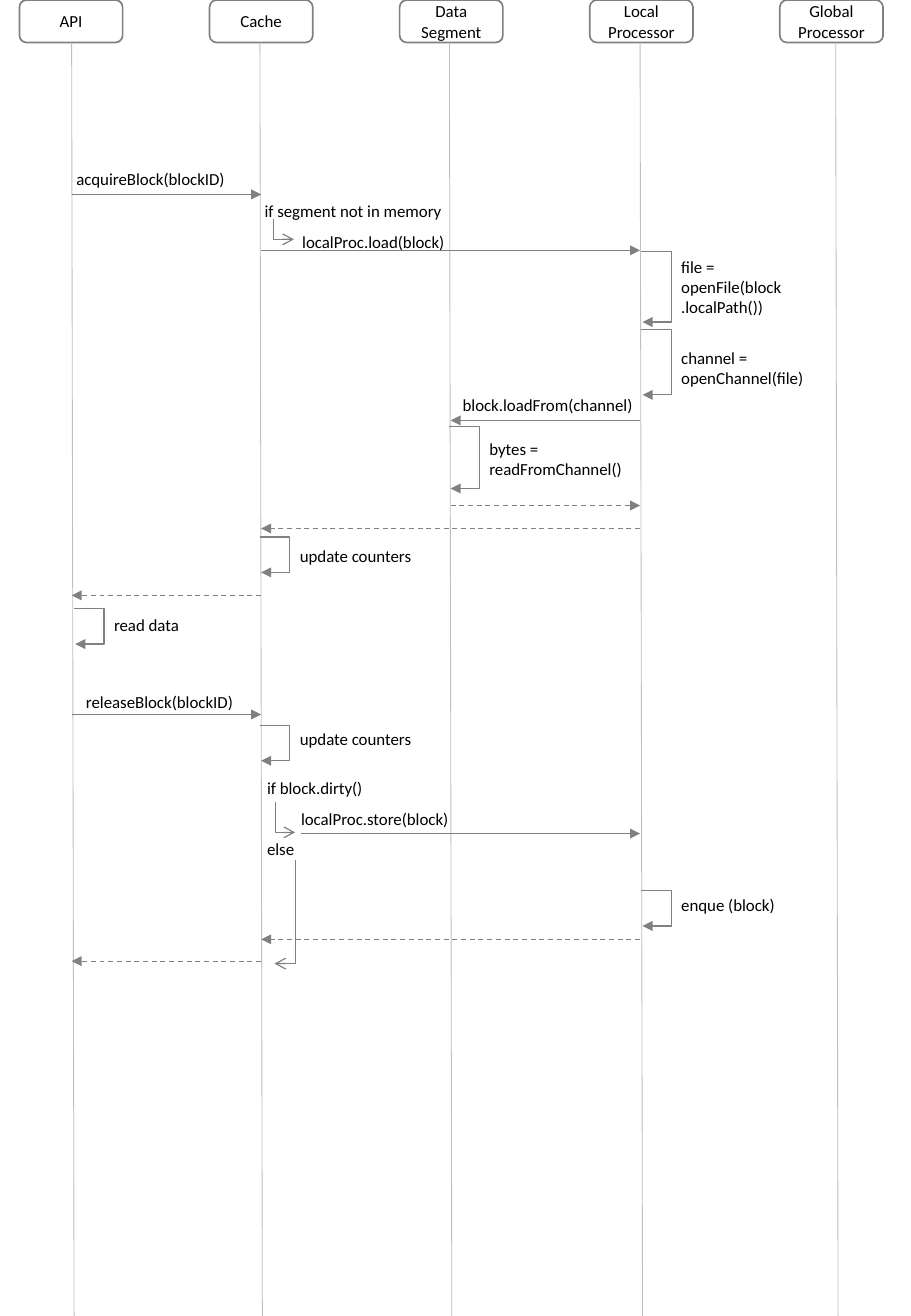
from lxml import etree
from pptx import Presentation
from pptx.dml.color import RGBColor
from pptx.enum import dml, shapes, text
from pptx.oxml import ns
from pptx.util import Inches, Pt

GREY, PALE, BLACK = "808080", "BFBFBF", "000000"
STEP = 1.56
API, CACHE, DATA, LOCAL = (round(0.59 + STEP * i, 2) for i in range(4))
KINDS = shapes.MSO_CONNECTOR


def paint(color, code):
    color.rgb = RGBColor.from_string(code)


def write(para, words):
    para.text = words
    para.font.size = Pt(10)
    para.font.name = "Calibri"
    paint(para.font.color, BLACK)


def wire(page, kind, start, end, code=GREY, width=0.75, head=None, dash=False):
    link = page.shapes.add_connector(kind, *map(Inches, (*start, *end)))
    paint(link.line.color, code)
    link.line.width = Pt(width)
    if dash:
        link.line.dash_style = dml.MSO_LINE.DASH
    if head:
        tip = etree.SubElement(link.line._get_or_add_ln(), ns.qn("a:tailEnd"))
        tip.set("type", head)
    etree.SubElement(link._element.spPr, ns.qn("a:effectLst"))
    return link


def send(page, start, end, y, dash=False):
    wire(page, KINDS.STRAIGHT, (start, y), (end, y), head="triangle", dash=dash)


def loop(page, x, y, drop):
    """Arrow that leaves a lifeline to the right and returns lower down."""
    gap, reach = 0.01, 0.25
    link = wire(page, KINDS.ELBOW, (x, y), (x + gap, y + drop), head="triangle")
    geom = link._element.spPr.find(ns.qn("a:prstGeom"))
    guides = geom.find(ns.qn("a:avLst"))
    if guides is None:
        guides = etree.SubElement(geom, ns.qn("a:avLst"))
    bend = round(reach / gap * 100000)
    etree.SubElement(guides, ns.qn("a:gd"), name="adj1", fmla=f"val {bend}")


def branch(page, x, y, run, drop):
    """Arrow that goes down by drop, then sideways by run."""
    mid, half = x + run / 2, drop / 2
    center, rise = y + half, abs(run) / 2
    side = half if run > 0 else -half
    link = wire(page, KINDS.ELBOW, (mid + side, center - rise),
                (mid - side, center + rise), head="arrow")
    props = link._element.spPr
    props.find(ns.qn("a:prstGeom")).set("prst", "bentConnector2")
    turn = 270 if run > 0 else 90
    props.find(ns.qn("a:xfrm")).set("rot", str(turn * 60000))


def note(page, x, y, w, h, lines, wrap=False, space=None, indent=0):
    """Text box; indent moves the second line to the right."""
    frame = page.shapes.add_textbox(*map(Inches, (x, y, w, h))).text_frame
    frame.word_wrap = wrap
    for i, words in enumerate(lines):
        para = frame.paragraphs[0] if i == 0 else frame.add_paragraph()
        write(para, words)
        para.line_spacing = space
        if i == 1:
            para._p.get_or_add_pPr().set("marL", str(Inches(indent)))


def lanes(page, x, y, w, h):
    names = ["API", "Cache", "Data Segment", "Local Processor", "Global Processor"]
    wide, high = 0.85, 0.35
    pitch = (w - wide) / (len(names) - 1)
    for i, name in enumerate(names):
        box = page.shapes.add_shape(
            shapes.MSO_SHAPE.ROUNDED_RECTANGLE,
            *map(Inches, (x + pitch * i, y, wide, high)))
        box.shadow.inherit = False
        box.fill.background()
        paint(box.line.color, GREY)
        box.line.width = Pt(1)
        frame = box.text_frame
        frame.word_wrap = True
        frame.vertical_anchor = text.MSO_ANCHOR.MIDDLE
        write(frame.paragraphs[0], name)
        frame.paragraphs[0].alignment = text.PP_ALIGN.CENTER
    for lane in (API, CACHE - 0.01, DATA - 0.01, LOCAL, 6.88):
        wire(page, KINDS.STRAIGHT, (lane, y + high), (lane + 0.02, y + h), PALE, 0.5)


def acquire(page, y):
    for start, end, dy, dash in [
            (API, CACHE, 0.26, False), (CACHE, LOCAL, 0.72, False),
            (LOCAL, DATA, 2.12, False), (DATA, LOCAL, 2.82, True),
            (LOCAL, CACHE, 3.01, True), (CACHE, API, 3.56, True)]:
        send(page, start, end, y + dy, dash)
    for x, dy, drop in [(5.28, 0.73, 0.58), (5.28, 1.37, 0.54), (3.7, 2.17, 0.51),
                        (2.14, 3.08, 0.29), (0.61, 3.67, 0.29)]:
        loop(page, x, y + dy, drop)
    for x, dy, w, h, words, wrap in [
            (0.53, 0, 1.44, 0.27, "acquireBlock(blockID)", False),
            (5.51, 0.72, 1.04, 0.61, "file = openFile(block.localPath())", True),
            (5.51, 1.47, 1.25, 0.44, "channel = openChannel(file)", True),
            (3.71, 1.86, 1.62, 0.27, "block.loadFrom(channel)", False),
            (3.93, 2.22, 1.35, 0.44, "bytes = readFromChannel()", True),
            (2.37, 3.1, 1.14, 0.27, "update counters", False),
            (0.84, 3.67, 0.75, 0.27, "read data", False)]:
        note(page, x, y + dy, w, h, [words], wrap)
    note(page, 2.08, y + 0.18, 1.7, 0.61,
         ["if segment not in memory", "localProc.load(block)"], space=1.5, indent=0.31)
    branch(page, 2.25, y + 0.46, 0.17, 0.17)


def release(page, y):
    for start, end, dy, dash in [
            (API, CACHE, 0.24, False), (2.48, LOCAL, 1.22, False),
            (LOCAL, CACHE, 2.09, True), (CACHE, API, 2.27, True)]:
        send(page, start, end, y + dy, dash)
    for x, dy in [(2.14, 0.33), (5.28, 1.69)]:
        loop(page, x, y + dy, 0.29)
    for x, dy, w, words in [(0.61, 0, 1.43, "releaseBlock(blockID)"),
                            (2.37, 0.31, 1.14, "update counters"),
                            (5.51, 1.67, 0.98, "enque (block)")]:
        note(page, x, y + dy, w, 0.27, [words])
    note(page, 2.1, y + 0.63, 1.72, 0.86,
         ["if block.dirty()", "localProc.store(block)", "else"],
         space=1.5, indent=0.28)
    branch(page, 2.27, y + 0.96, 0.16, 0.25)
    branch(page, 2.43, y + 1.44, -0.17, 0.85)


def main():
    deck = Presentation()
    deck.slide_width, deck.slide_height = Inches(7.5), Inches(10.83)
    page = deck.slides.add_slide(deck.slide_layouts[6])
    lanes(page, 0.16, 0, 7.11, 10.83)
    acquire(page, 1.34)
    release(page, 5.64)
    deck.save("out.pptx")


if __name__ == "__main__":
    main()
